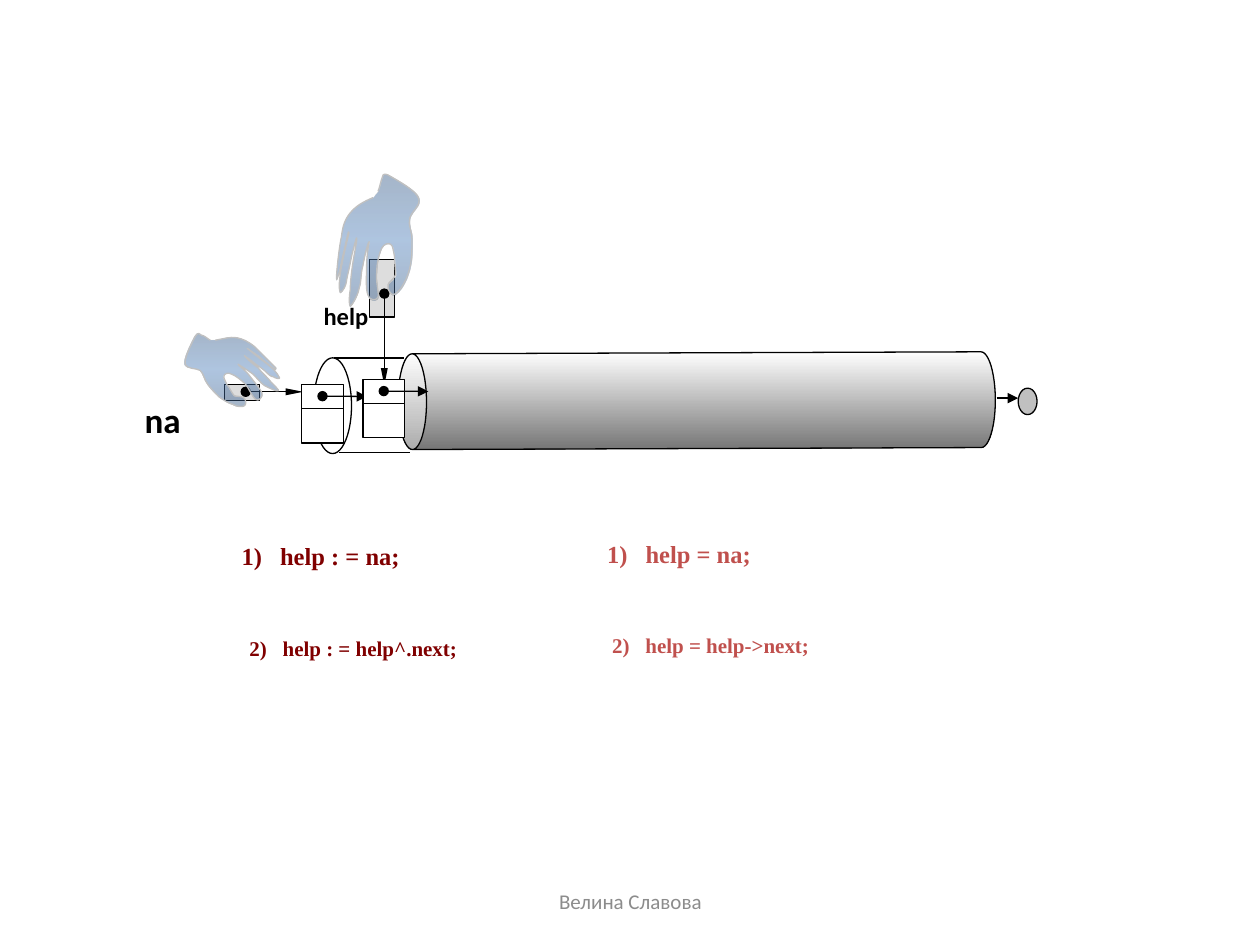
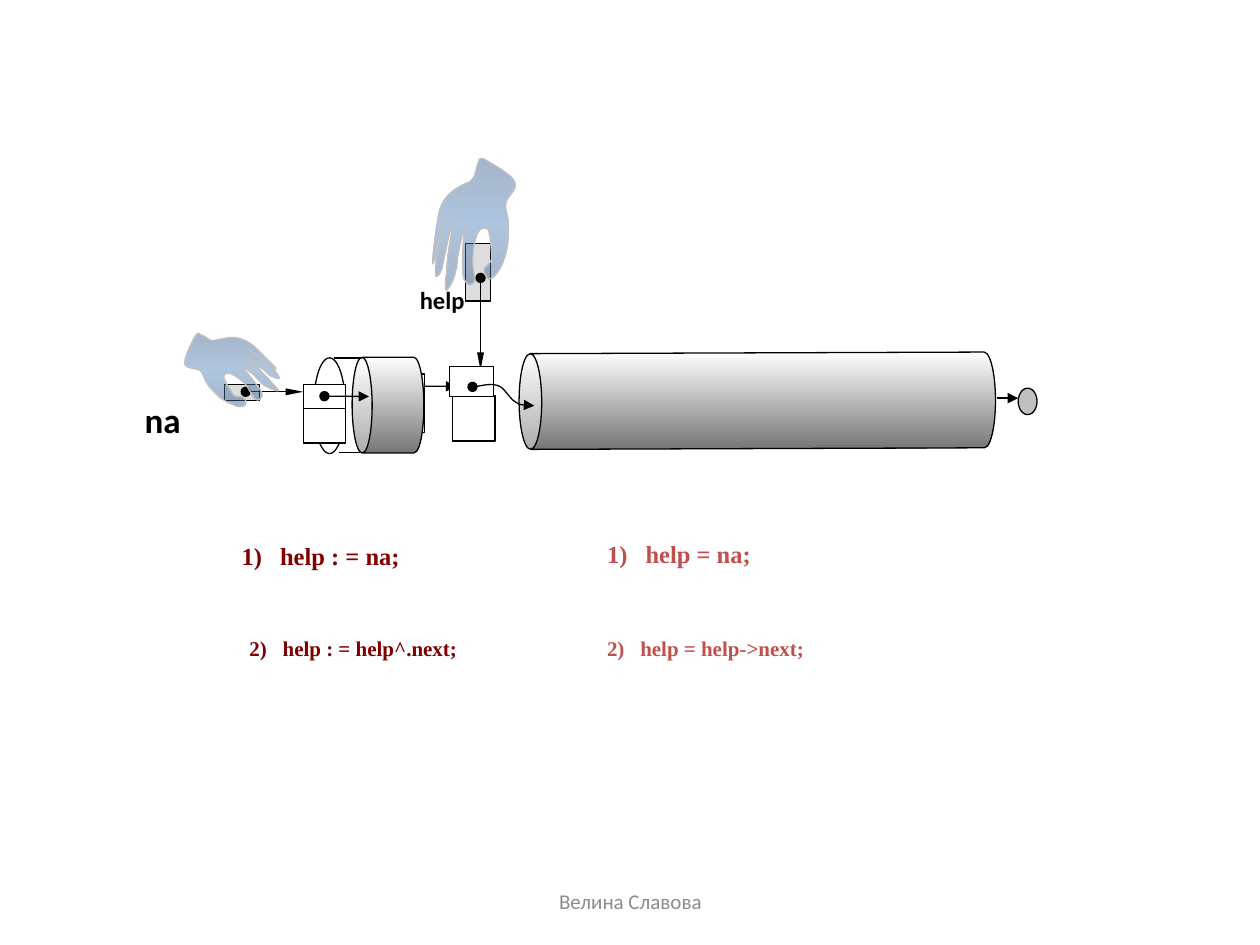
from lxml import etree
from pptx import Presentation
from pptx.dml.color import RGBColor
from pptx.enum.shapes import MSO_CONNECTOR, MSO_SHAPE
from pptx.enum.text import MSO_ANCHOR, PP_ALIGN
from pptx.oxml import parse_xml
from pptx.oxml.ns import nsdecls, qn
from pptx.util import Pt

RECT, OVAL, CAN = MSO_SHAPE.RECTANGLE, MSO_SHAPE.OVAL, MSO_SHAPE.CAN
STRAIGHT = MSO_CONNECTOR.STRAIGHT
TOP, MIDDLE, BOTTOM = MSO_ANCHOR.TOP, MSO_ANCHOR.MIDDLE, MSO_ANCHOR.BOTTOM
LEFT, CENTER = PP_ALIGN.LEFT, PP_ALIGN.CENTER

BLACK = RGBColor(0x00, 0x00, 0x00)
WHITE = RGBColor(0xFF, 0xFF, 0xFF)
POINTER_GRAY = RGBColor(0xDD, 0xDD, 0xDD)
SILVER = RGBColor(0xC0, 0xC0, 0xC0)
TUBE_GRAY = RGBColor(0x76, 0x76, 0x76)
FOOTER_GRAY = RGBColor(0x8C, 0x8C, 0x8C)
MAROON = RGBColor(0x80, 0x00, 0x00)
RED = RGBColor(0xC0, 0x50, 0x4D)
HAND_DARK = RGBColor(0x39, 0x5C, 0x87)
HAND_BLUE = RGBColor(0x4F, 0x81, 0xBD)

# Gradients run downwards: position %, colour, opacity %
TUBE_FILL = [(0, WHITE, 100), (100, TUBE_GRAY, 100)]
HAND_FILL = [(0, HAND_DARK, 45), (50, HAND_BLUE, 45), (100, HAND_DARK, 45)]

SANS, SERIF = "Calibri", "Times New Roman"
UNIT = 0.72  # points per outline unit

# Outlines: a start point, then three points for each Bezier curve
HELP_HAND = [
    (31, 20), (24, 23), (18, 26), (13, 32), (9, 37), (7, 42), (6, 51),
    (4, 60), (2, 80), (2, 84), (2, 88), (4, 80), (5, 76),
    (6, 71), (8, 62), (9, 58), (10, 53), (12, 44), (12, 48),
    (11, 52), (6, 73), (5, 81), (4, 89), (4, 93), (5, 95),
    (5, 96), (8, 93), (9, 90), (10, 88), (10, 85), (11, 81),
    (12, 77), (13, 72), (14, 67), (15, 62), (18, 51), (18, 52),
    (19, 52), (16, 65), (15, 72), (14, 79), (13, 87), (13, 93),
    (12, 98), (12, 106), (13, 106), (14, 106), (19, 98), (20, 92),
    (22, 87), (21, 81), (23, 74), (24, 68), (27, 55), (28, 55),
    (28, 55), (26, 66), (26, 73), (26, 80), (25, 93), (27, 97),
    (28, 102), (34, 102), (35, 99), (36, 96), (33, 86), (34, 79),
    (34, 72), (36, 64), (38, 60), (40, 56), (44, 56), (45, 57),
    (47, 58), (47, 62), (48, 66), (48, 70), (49, 77), (49, 81),
    (48, 85), (43, 87), (43, 89), (42, 92), (45, 97), (47, 97),
    (49, 97), (53, 93), (55, 89), (58, 84), (60, 78), (61, 72),
    (62, 66), (62, 59), (62, 53), (62, 47), (59, 42), (60, 37),
    (61, 31), (70, 26), (67, 20), (65, 14), (48, 5), (43, 2),
    (38, 0), (39, 3), (38, 5), (37, 8), (36, 13), (35, 15)]
NA_HAND = [
    (25, 7), (31, 6), (37, 4), (42, 5), (47, 6), (51, 8), (56, 12),
    (61, 17), (71, 27), (73, 29), (74, 32), (69, 28), (67, 26),
    (64, 24), (60, 20), (57, 18), (54, 16), (48, 12), (51, 14),
    (53, 16), (65, 25), (70, 29), (74, 33), (75, 35), (76, 37),
    (76, 38), (72, 37), (71, 36), (69, 36), (67, 34), (65, 32),
    (63, 30), (60, 28), (57, 26), (54, 23), (47, 19), (48, 19),
    (48, 20), (55, 26), (59, 29), (62, 33), (67, 37), (69, 40),
    (72, 43), (76, 47), (75, 47), (74, 48), (68, 45), (64, 43),
    (61, 41), (58, 37), (55, 34), (51, 31), (43, 26), (43, 26),
    (42, 26), (49, 31), (52, 35), (55, 39), (61, 46), (62, 49),
    (63, 52), (59, 56), (57, 54), (55, 53), (52, 46), (49, 42),
    (46, 39), (41, 35), (38, 34), (35, 32), (32, 34), (32, 35),
    (31, 37), (33, 39), (34, 42), (36, 44), (38, 49), (40, 51),
    (42, 52), (46, 51), (48, 53), (49, 54), (50, 58), (48, 59),
    (47, 60), (42, 60), (39, 58), (35, 57), (31, 54), (28, 52),
    (25, 49), (21, 45), (19, 42), (16, 38), (16, 34), (13, 31),
    (10, 29), (2, 30), (1, 26), (0, 21), (7, 8), (9, 4),
    (12, 0), (12, 2), (14, 3), (16, 3), (19, 6), (21, 7)]
CURVED_LINK = [(0, 3), (4, 3), (14, 0), (20, 2), (25, 3), (29, 12), (34, 15),
               (39, 18), (46, 18), (49, 18)]


def set_gradient(sp, stops):
    """Replace the empty fill of a shape by a downward gradient."""
    gs = "".join(
        f'<a:gs pos="{pos * 1000}"><a:srgbClr val="{color}">'
        f'<a:alpha val="{alpha * 1000}"/></a:srgbClr></a:gs>'
        for pos, color, alpha in stops)
    grad = parse_xml(f'<a:gradFill {nsdecls("a")} rotWithShape="0"><a:gsLst>{gs}'
                     '</a:gsLst><a:lin ang="5400000" scaled="0"/></a:gradFill>')
    pr = sp.element.spPr
    pr.replace(pr.find(qn("a:noFill")), grad)


def set_ends(shape, head, tail, slim=False):
    """Put an oval at the start and a triangle at the end of a line."""
    ln = shape.element.spPr.find(qn("a:ln"))
    if head:
        etree.SubElement(ln, qn("a:headEnd"), type="oval")
    if tail:
        w, length = ("sm", "lg") if slim else ("med", "med")
        etree.SubElement(ln, qn("a:tailEnd"), type="triangle", w=w, len=length)


class Painter:
    """Holds the style and the current slide."""

    def __init__(self, prs):
        """Keep the presentation."""
        self.prs = prs
        self.s = None

    def new_slide(self):
        """Start a blank slide."""
        self.s = self.prs.slides.add_slide(self.prs.slide_layouts[6])

    def paint(self, sp, fill, line=BLACK):
        """Set fill and outline of a shape and drop its shadow."""
        sp.shadow.inherit = False
        if isinstance(fill, RGBColor):
            sp.fill.solid()
            sp.fill.fore_color.rgb = fill
        else:
            sp.fill.background()
            if fill:
                set_gradient(sp, fill)
        sp.line.color.rgb = line
        sp.line.width = Pt(0.75)

    def shape(self, kind, x, y, w, h, fill=WHITE):
        """Add a preset shape."""
        sp = self.s.shapes.add_shape(kind, Pt(x), Pt(y), Pt(w), Pt(h))
        self.paint(sp, fill)
        return sp

    def tube(self, x, y, w, h, lid):
        """Add a can lying on its side."""
        sp = self.shape(CAN, x, y, w, h, TUBE_FILL)
        sp.adjustments[0] = lid
        sp.rotation = 269.8

    def line(self, x1, y1, x2, y2, head=False, tail=False, slim=False):
        """Add a straight line, with ends if wanted."""
        c = self.s.shapes.add_connector(STRAIGHT, Pt(x1), Pt(y1), Pt(x2), Pt(y2))
        c.line.color.rgb = BLACK
        c.line.width = Pt(0.75)
        set_ends(c, head, tail, slim)
        etree.SubElement(c.element.spPr, qn("a:effectLst"))

    def curve(self, points, x, y, fill=None, line=BLACK):
        """Add a Bezier outline whose origin is at x, y."""
        fb = self.s.shapes.build_freeform(*points[0], scale=Pt(UNIT))
        fb.add_line_segments(points[1:], close=False)
        sp = fb.convert_to_shape(Pt(x), Pt(y))
        steps = list(sp.element.iter(qn("a:lnTo")))
        for i in range(0, len(steps), 3):
            bezier = etree.Element(qn("a:cubicBezTo"))
            steps[i].addprevious(bezier)
            for step in steps[i:i + 3]:
                bezier.append(step[0])
                step.getparent().remove(step)
        self.paint(sp, fill, line)
        return sp

    def text(self, text, x, y, w, h, size=12, font=SANS, color=BLACK, bold=True,
             anchor=TOP, align=LEFT, hang=0):
        """Add a one-paragraph text box."""
        tf = self.s.shapes.add_textbox(Pt(x), Pt(y), Pt(w), Pt(h)).text_frame
        tf.word_wrap = True
        tf.vertical_anchor = anchor
        p = tf.paragraphs[0]
        p.alignment = align
        if hang:
            pr = p._p.get_or_add_pPr()
            pr.set("marL", str(Pt(hang)))
            pr.set("indent", str(-Pt(hang)))
        r = p.add_run()
        r.text = text
        r.font.size, r.font.name, r.font.bold = Pt(size), font, bold
        r.font.color.rgb = color

    def code(self, text, x, y, w, h, size, color):
        """Add a numbered line of code."""
        self.text(text, x, y, w, h, size=size, font=SERIF, color=color,
                  anchor=BOTTOM, hang=22 if size == 14 else 19)

    def node(self, x, y, w=23.8):
        """Add a list node: link cell, data cell and arrow."""
        self.shape(RECT, x, y + 13.3, w, 20.2)
        self.shape(RECT, x, y, w, 13.7)
        self.line(x + w / 2, y + 6.8, x + 1.57 * w, y + 7, head=True, tail=True)

    def na_pointer(self):
        """Add the hand that holds the start of the list."""
        self.shape(RECT, 128.2, 219.6, 20.2, 9.4, POINTER_GRAY)
        self.line(140.4, 223.9, 173.2, 223.9, head=True, tail=True, slim=True)
        self.text("na", 75.6, 223.9, 128.9, 27.4, size=20)
        self.curve(NA_HAND, 105.1, 189.4, HAND_FILL, SILVER)

    def help_pointer(self, x, y):
        """Add the hand that holds the helper pointer."""
        self.text("help", x - 13, y + 69.9, 56.2, 35.3, size=14)
        self.shape(RECT, x + 20.2, y + 49.7, 14.4, 32.8, POINTER_GRAY)
        self.line(x + 28.8, y + 69.2, x + 28.8, y + 121.7,
                  head=True, tail=True, slim=True)
        self.curve(HELP_HAND, x, y, HAND_FILL, SILVER)

    def list_ends(self, ring_width):
        """Add the open tube end at the left and the end mark at the right."""
        self.shape(OVAL, 179.3, 204.5, ring_width, 54.7)
        self.line(190.8, 204.5, 231.1, 204.5)
        self.line(193.7, 258.5, 234, 258.5)
        self.shape(OVAL, 581.8, 221.8, 10.8, 15.1, SILVER)
        self.line(569.5, 227.5, 581.8, 227.5, tail=True)

    def captions(self, last_x, last_y):
        """Add the code in both languages and the footer."""
        self.code("1)\thelp : = na;", 131, 288.7, 108, 41, 14, MAROON)
        self.code("1)\thelp = na;", 339.8, 287.3, 100.1, 41, 14, RED)
        self.code("2)\thelp : = help^.next;", 135.4, 344.9, 136.1, 36, 12, MAROON)
        self.code("2)\thelp = help->next;", last_x, last_y, 130.3, 36, 12, RED)
        self.text("Велина Славова", 246.2, 500.4, 228.2, 28.8, color=FOOTER_GRAY,
                  bold=False, anchor=MIDDLE, align=CENTER)


def first_step(d):
    """Draw the helper at the second node."""
    d.new_slide()
    d.list_ends(21.6)
    d.tube(370.8, 58.3, 54.7, 341.3, 0.297)
    d.na_pointer()
    d.node(172.4, 219.6)
    d.help_pointer(190.8, 98.6)
    d.node(207.4, 216.7)
    d.captions(342.7, 343.4)


def next_step(d):
    """Draw the helper further along the list."""
    d.new_slide()
    d.list_ends(18)
    d.tube(405.4, 92.9, 54.7, 272.2, 0.236)
    d.na_pointer()
    d.help_pointer(245.8, 89.6)
    d.node(211, 213.8, 31.7)
    d.tube(194.4, 211, 54.7, 41, 0.279)
    d.shape(RECT, 258.5, 226.1, 24.5, 25.9)
    d.shape(RECT, 257, 209.5, 25.2, 17.3)
    set_ends(d.curve(CURVED_LINK, 270, 218.9), head=True, tail=True)
    d.node(173.5, 219.6)
    d.captions(339.8, 344.9)


prs = Presentation()
prs.slide_width, prs.slide_height = Pt(720), Pt(540)
painter = Painter(prs)
first_step(painter)
next_step(painter)
prs.save("out.pptx")
